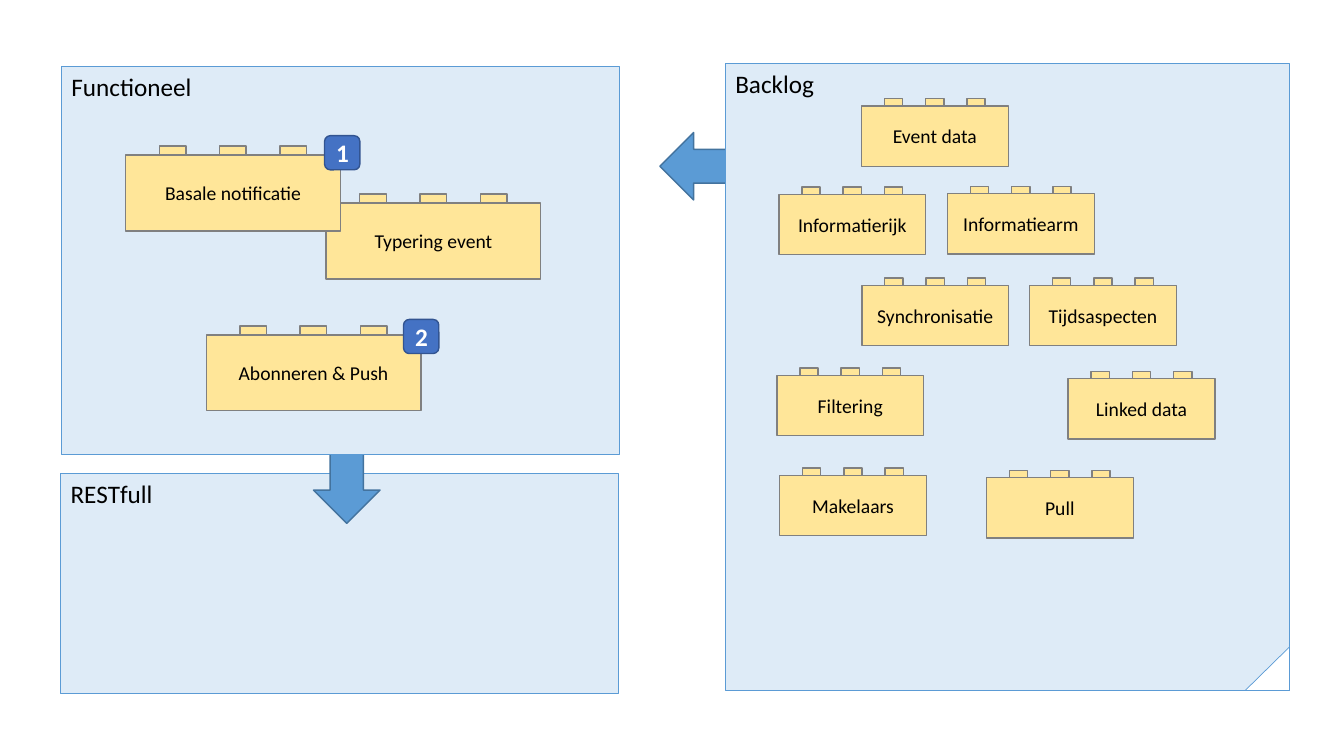
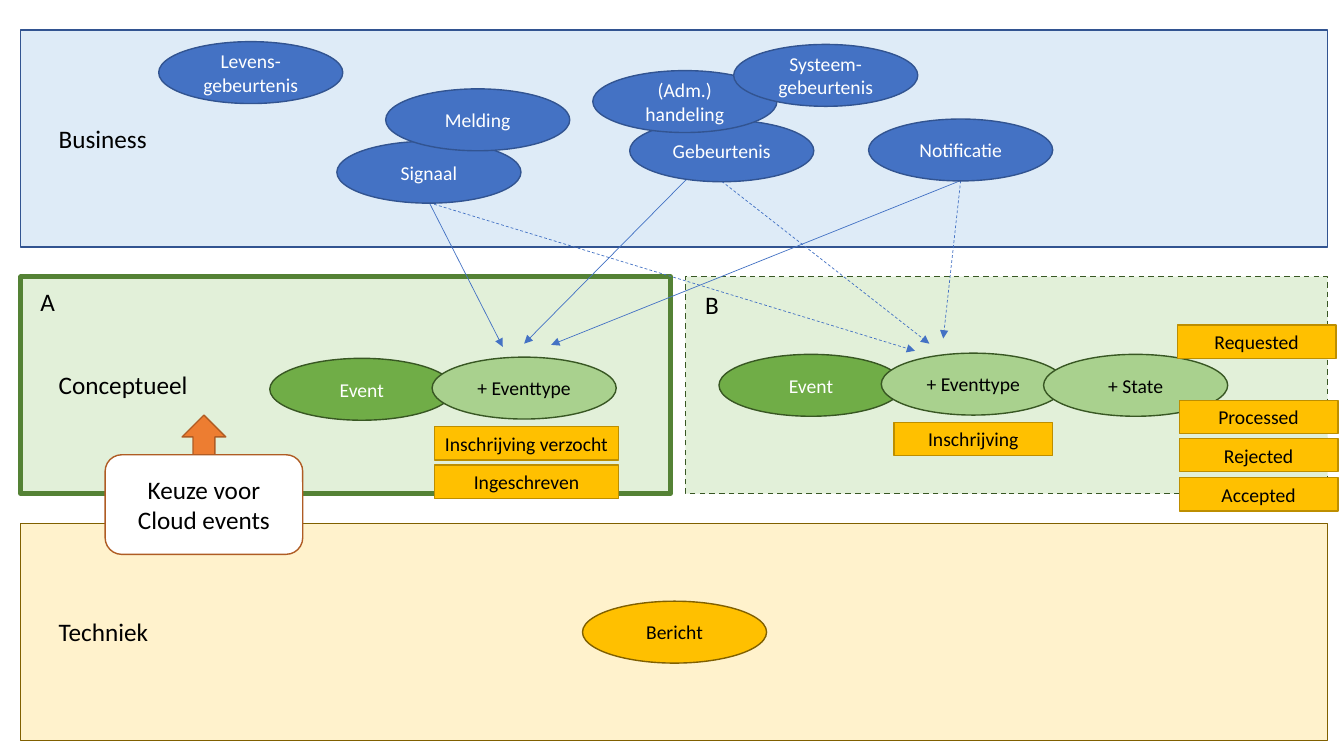
import pptx
import pptx.dml.color
import pptx.enum.dml
import pptx.enum.shapes
import pptx.enum.text
import pptx.oxml.ns
import pptx.util
from lxml import etree

Cm = pptx.util.Cm
Pt = pptx.util.Pt
RGBColor = pptx.dml.color.RGBColor
SHAPE = pptx.enum.shapes.MSO_SHAPE
ALIGN = pptx.enum.text.PP_ALIGN
ANCHOR = pptx.enum.text.MSO_ANCHOR
DASH = pptx.enum.dml.MSO_LINE.DASH
qn = pptx.oxml.ns.qn

FONT = "Calibri"
BLACK = RGBColor(0x00, 0x00, 0x00)
WHITE = RGBColor(0xFF, 0xFF, 0xFF)
PALE_BLUE = RGBColor(0xDE, 0xEB, 0xF7)
SKY = RGBColor(0x5B, 0x9B, 0xD5)
SKY_DARK = RGBColor(0x43, 0x73, 0x9E)
BLUE = RGBColor(0x44, 0x72, 0xC4)
BLUE_DARK = RGBColor(0x32, 0x54, 0x91)
SAND = RGBColor(0xFF, 0xE6, 0x99)
GREY = RGBColor(0x80, 0x80, 0x80)
PALE_GREEN = RGBColor(0xE2, 0xF0, 0xD9)
LIGHT_GREEN = RGBColor(0xA9, 0xD1, 0x8E)
GREEN = RGBColor(0x70, 0xAD, 0x47)
GREEN_MID = RGBColor(0x54, 0x82, 0x35)
GREEN_DARK = RGBColor(0x38, 0x57, 0x23)
PALE_GOLD = RGBColor(0xFF, 0xF2, 0xCC)
GOLD = RGBColor(0xFF, 0xC0, 0x00)
GOLD_MID = RGBColor(0xBD, 0x8E, 0x00)
GOLD_DARK = RGBColor(0x80, 0x60, 0x00)
ORANGE = RGBColor(0xED, 0x7D, 0x31)
ORANGE_DARK = RGBColor(0xAF, 0x5C, 0x24)

# Fill, line and text colour per kind of ellipse
BUSINESS_TERM = (BLUE, BLUE_DARK, WHITE)
EVENT = (GREEN, GREEN_DARK, WHITE)
EVENT_PART = (LIGHT_GREEN, GREEN_DARK, BLACK)
MESSAGE = (GOLD, GOLD_DARK, BLACK)


def write(shape, text, size, color=BLACK, bold=False, align=ALIGN.CENTER):
    shape.text_frame.text = text
    font_format = {"name": FONT, "size": Pt(size), "bold": bold}
    for paragraph in shape.text_frame.paragraphs:
        paragraph.alignment = align
        for run in paragraph.runs:
            for name, value in font_format.items():
                setattr(run.font, name, value)
            run.font.color.rgb = color


def add_box(shapes, kind, box, fill, line, width=1, dash=None):
    """Add a flat preset shape; box is left, top, width, height in cm."""
    shape = shapes.add_shape(kind, *(Cm(length) for length in box))
    shape.shadow.inherit = False
    shape.fill.solid()
    shape.fill.fore_color.rgb = fill
    shape.line.color.rgb = line
    shape.line.width = Pt(width)
    if dash:
        shape.line.dash_style = dash
    return shape


def add_label(slide, text, left, top, width):
    label = slide.shapes.add_textbox(Cm(left), Cm(top), Cm(width), Cm(1.02))
    label.text_frame.word_wrap = True
    write(label, text, 18, align=ALIGN.LEFT)


def add_panel(slide, title, box):
    panel = add_box(slide.shapes, SHAPE.RECTANGLE, box, PALE_BLUE, SKY, 0.5)
    panel.text_frame.vertical_anchor = ANCHOR.TOP
    write(panel, title, 18, align=ALIGN.LEFT)


def add_brick(slide, text, box):
    """Add a building brick: a body with three studs on top."""
    left, top, width, height = box
    shapes = slide.shapes.add_group_shape().shapes
    stud_height = 0.12 * height
    for index in range(3):
        stud_left = left + (0.156 + 0.281 * index) * width
        stud = (stud_left, top - stud_height, 0.124 * width, stud_height)
        add_box(shapes, SHAPE.RECTANGLE, stud, SAND, GREY)
    body = add_box(shapes, SHAPE.RECTANGLE, box, SAND, GREY)
    write(body, text, 14)


def add_bricks(slide, panel_box, size, bricks):
    for text, x, y in bricks:
        add_brick(slide, text, (panel_box[0] + x, panel_box[1] + y, *size))


def add_functional_panel(slide, box):
    add_panel(slide, "Functioneel", box)
    add_bricks(slide, box, (5.41, 1.91), [
        ("Abonneren & Push", 3.65, 6.77),
        ("Typering event", 6.67, 3.45),
        ("Basale notificatie", 1.62, 2.24),
    ])
    for number, x, y in [("1", 6.63, 1.75), ("2", 8.62, 6.38)]:
        badge = add_box(slide.shapes, SHAPE.ROUNDED_RECTANGLE,
                        (box[0] + x, box[1] + y, 0.89, 0.86), BLUE, BLUE_DARK)
        write(badge, number, 18, WHITE, bold=True)


def add_backlog_panel(slide, box):
    left, top, width, height = box
    add_panel(slide, "Backlog", box)
    fold_width, fold_height = 1.12, 1.1
    fold = add_box(slide.shapes, SHAPE.ISOSCELES_TRIANGLE,
                   (left + width - fold_width, top + height - fold_height,
                    fold_width, fold_height), WHITE, SKY, 0.5)
    fold.adjustments[0] = 1
    add_bricks(slide, box, (3.7, 1.52), [
        ("Informatiearm", 5.6, 3.28),
        ("Informatierijk", 1.35, 3.3),
        ("Event data", 3.43, 1.07),
        ("Synchronisatie", 3.44, 5.59),
        ("Tijdsaspecten", 7.67, 5.59),
        ("Filtering", 1.3, 7.86),
        ("Linked data", 8.64, 7.94),
        ("Pull", 6.58, 10.44),
        ("Makelaars", 1.37, 10.38),
    ])


def add_brick_slide(presentation):
    slide = presentation.slides.add_slide(presentation.slide_layouts[6])
    add_panel(slide, "RESTfull", (1.53, 11.94, 14.05, 5.54))
    for kind, box in [(SHAPE.DOWN_ARROW, (7.9, 11.03, 1.68, 2.16)),
                      (SHAPE.LEFT_ARROW, (16.63, 3.34, 2.97, 1.7))]:
        add_box(slide.shapes, kind, box, SKY, SKY_DARK)
    add_backlog_panel(slide, (18.28, 1.6, 14.22, 15.8))
    add_functional_panel(slide, (1.55, 1.67, 14.05, 9.78))


def add_ellipses(slide, box, ellipses):
    for text, x, y, (fill, line, color) in ellipses:
        ellipse = add_box(slide.shapes, SHAPE.OVAL,
                          (box[0] + x, box[1] + y, 4.64, 1.56), fill, line)
        write(ellipse, text, 14, color)


def add_tags(slide, box, width, tags):
    for text, x, y in tags:
        tag = add_box(slide.shapes, SHAPE.RECTANGLE,
                      (box[0] + x, box[1] + y, width, 0.84), GOLD, GOLD_MID)
        write(tag, text, 14)


def add_link(slide, start, end, dash=None):
    """Add a thin arrow from start to end, both x, y in cm."""
    link = slide.shapes.add_connector(
        pptx.enum.shapes.MSO_CONNECTOR.STRAIGHT,
        *(Cm(length) for length in (*start, *end)))
    link.line.color.rgb = BLUE
    link.line.width = Pt(0.5)
    if dash:
        link.line.dash_style = dash
    properties = link._element.spPr
    etree.SubElement(properties.find(qn("a:ln")), qn("a:tailEnd"), type="triangle")
    etree.SubElement(properties, qn("a:effectLst"))


def add_links(slide):
    signal, notification = (10.82, 5.11), (24.21, 4.55)
    for start, end, dash in [
        ((18.19, 4.57), (23.42, 8.66), DASH),
        (notification, (23.77, 8.53), DASH),
        (signal, (23.06, 8.84), DASH),
        (signal, (12.67, 8.74), None),
        ((18.8, 3), (13.21, 8.66), None),
        (notification, (13.89, 8.69), None),
    ]:
        add_link(slide, start, end, dash)


def fill_business(slide, box):
    add_ellipses(slide, box, [
        (text, x, y, BUSINESS_TERM) for text, x, y in [
            ("Signaal", 7.97, 2.8),
            ("Melding", 9.2, 1.48),
            ("Gebeurtenis", 15.35, 2.26),
            ("Notificatie", 21.37, 2.24),
            ("(Adm.) handeling", 14.42, 1.02),
            ("Levens-gebeurtenis", 3.48, 0.29),
            ("Systeem-\ngebeurtenis", 17.97, 0.36),
        ]])


def fill_option_a(slide, box):
    add_label(slide, "A", box[0] + 0.25, box[1] + 0.13, 0.89)
    add_ellipses(slide, box, [("Event", 6.28, 2.06, EVENT),
                              ("+ Eventtype", 10.37, 2.03, EVENT_PART)])
    add_tags(slide, box, 4.64, [("Inschrijving verzocht", 10.43, 3.78),
                                ("Ingeschreven", 10.43, 4.75)])


def fill_option_b(slide, box):
    add_label(slide, "B", box[0] + 0.25, box[1] + 0.2, 0.89)
    add_ellipses(slide, box, [("Event", 0.85, 1.96, EVENT),
                              ("+ Eventtype", 4.94, 1.93, EVENT_PART),
                              ("+ State", 9.03, 1.96, EVENT_PART)])
    add_tags(slide, box, 4, [
        ("Inschrijving", 5.26, 3.67),
        ("Requested", 12.4, 1.22),
        ("Processed", 12.45, 3.12),
        ("Rejected", 12.45, 4.08),
        ("Accepted", 12.45, 5.07),
    ])


def add_choice_callout(slide, box):
    """Add the callout with an arrow rising from the middle of its top."""
    left, top, width, _ = box
    shapes = slide.shapes.add_group_shape().shapes
    arrow_width = 1.1
    add_box(shapes, SHAPE.UP_ARROW,
            (left + (width - arrow_width) / 2, top - 1, arrow_width, 2.16),
            ORANGE, ORANGE_DARK)
    callout = add_box(shapes, SHAPE.ROUNDED_RECTANGLE, box, WHITE, ORANGE_DARK)
    write(callout, "Keuze voor Cloud events", 18)


def add_layer_slide(presentation):
    slide = presentation.slides.add_slide(presentation.slide_layouts[6])
    left, width, height = 0.52, 32.94, 5.47
    business = (left, 0.76, width, height)
    option_a = (left, 6.97, 16.38, height)
    option_b = (17.27, 6.97, 16.19, height)
    technology = (left, 13.19, width, height)
    for box, fill, line, line_width, dash in [
        (option_b, PALE_GREEN, GREEN_DARK, 1, DASH),
        (option_a, PALE_GREEN, GREEN_MID, 3, None),
        (technology, PALE_GOLD, GOLD_DARK, 1, None),
        (business, PALE_BLUE, BLUE_DARK, 1, None),
    ]:
        add_box(slide.shapes, SHAPE.RECTANGLE, box, fill, line, line_width, dash)
    for text, box in [("Business", business), ("Conceptueel", option_a),
                      ("Techniek", technology)]:
        add_label(slide, text, box[0] + 0.71, box[1] + 2.22, 4)
    add_links(slide)
    fill_business(slide, business)
    fill_option_a(slide, option_a)
    fill_option_b(slide, option_b)
    add_ellipses(slide, technology, [("Bericht", 14.16, 1.96, MESSAGE)])
    add_choice_callout(slide, (2.65, 11.46, 4.98, 2.51))


def main():
    presentation = pptx.Presentation()
    presentation.slide_width = Cm(33.87)
    presentation.slide_height = Cm(19.05)
    add_brick_slide(presentation)
    add_layer_slide(presentation)
    presentation.save("out.pptx")


if __name__ == "__main__":
    main()
